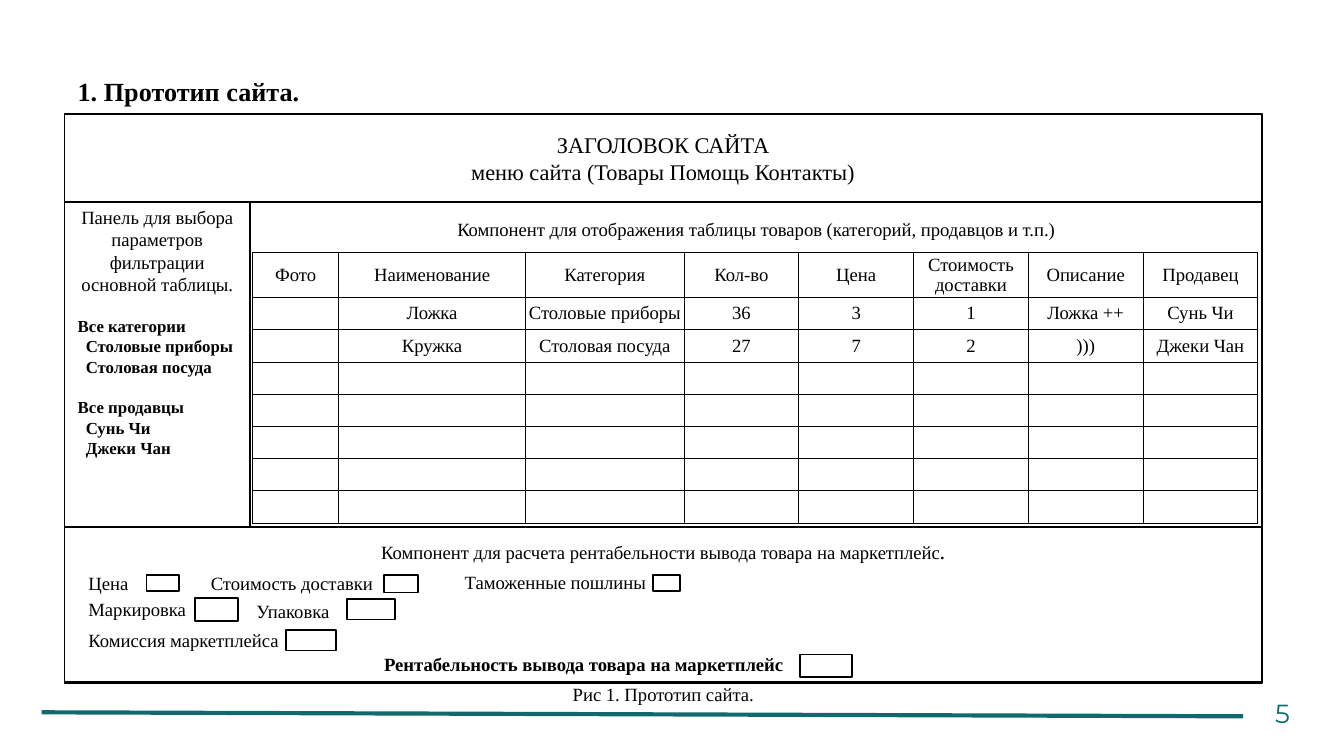
from dataclasses import dataclass

from lxml import etree
from pptx import Presentation
from pptx.dml.color import RGBColor
from pptx.enum.shapes import MSO_CONNECTOR, MSO_SHAPE
from pptx.enum.text import MSO_ANCHOR, PP_ALIGN
from pptx.oxml.ns import qn
from pptx.util import Inches, Pt

LEFT, CENTER = PP_ALIGN.LEFT, PP_ALIGN.CENTER
TOP, MIDDLE = MSO_ANCHOR.TOP, MSO_ANCHOR.MIDDLE
RECTANGLE, STRAIGHT = MSO_SHAPE.RECTANGLE, MSO_CONNECTOR.STRAIGHT
BLACK, WHITE, TEAL = "000000", "FFFFFF", "11696D"
SERIF, SANS = "Times New Roman", "Montserrat"
SLIDE_WIDTH = 10
SLIDE_HEIGHT = SLIDE_WIDTH * 9 / 16
FRAME_LEFT, FRAME_WIDTH = 0.48, 8.91
TABLE_WIDTH = 7.48
WIDE_COLUMNS = [0.64, 1.39, 1.18]
COLUMN_WIDTHS = WIDE_COLUMNS + [(TABLE_WIDTH - sum(WIDE_COLUMNS)) / 5] * 5
ROW_COUNT, ROW_HEIGHT = 8, 0.24
GOODS = [
    ["Фото", "Наименование", "Категория", "Кол-во", "Цена",
     "Стоимость доставки", "Описание", "Продавец"],
    ["", "Ложка", "Столовые приборы", "36", "3", "1", "Ложка ++", "Сунь Чи"],
    ["", "Кружка", "Столовая посуда", "27", "7", "2", ")))", "Джеки Чан"],
]
FILTERS = [
    ("Все категории", ["Столовые приборы", "Столовая посуда"]),
    ("Все продавцы", ["Сунь Чи", "Джеки Чан"]),
]


@dataclass
class Box:
    """Position and size in inches."""
    left: float
    top: float
    width: float
    height: float

    def lengths(self):
        """Return the four values as slide lengths."""
        return [Inches(value) for value in (self.left, self.top, self.width, self.height)]


@dataclass
class Field:
    """A label with its input box."""
    label: str
    label_box: Box
    input_box: Box
    bold: bool = False


FIELDS = [
    Field("Цена", Box(0.56, 4.27, 0.78, 0.13), Box(1.09, 4.28, 0.24, 0.12)),
    Field("Стоимость доставки", Box(1.47, 4.27, 2.04, 0.14), Box(2.86, 4.28, 0.25, 0.13)),
    Field("Таможенные пошлины", Box(3.36, 4.25, 2.27, 0.16), Box(4.86, 4.28, 0.2, 0.12)),
    Field("Маркировка", Box(0.56, 4.44, 1.29, 0.18), Box(1.45, 4.45, 0.32, 0.17)),
    Field("Упаковка", Box(1.81, 4.45, 1.13, 0.19), Box(2.58, 4.46, 0.36, 0.15)),
    Field("Комиссия маркетплейса", Box(0.56, 4.68, 2.3, 0.16), Box(2.13, 4.69, 0.37, 0.15)),
    Field("Рентабельность вывода товара на маркетплейс",
          Box(2.76, 4.85, 3.81, 0.18), Box(5.95, 4.87, 0.39, 0.17), bold=True),
]


def color(value: str) -> RGBColor:
    """Turn a hex string into a colour."""
    return RGBColor.from_string(value)


def add_run(paragraph, text: str, size: float, bold=False, font=SERIF, fill=BLACK) -> None:
    """Append formatted text to a paragraph."""
    run = paragraph.add_run()
    run.text = text
    run.font.size, run.font.bold, run.font.name = Pt(size), bold, font
    run.font.color.rgb = color(fill)


def write(frame, text: str, *, size=10, align=LEFT, before=0, indent=0, **style):
    """Write one paragraph, using the empty first one when it is free."""
    paragraph = frame.paragraphs[0]
    if paragraph.runs:
        paragraph = frame.add_paragraph()
    paragraph.alignment = align
    if before:
        paragraph.space_before = Pt(before)
    if indent:
        paragraph._p.get_or_add_pPr().set("marL", str(Inches(indent)))
    add_run(paragraph, text, size, **style)
    return paragraph


def add_rectangle(shapes, box: Box, line=BLACK, weight=1.0, anchor=MIDDLE, inset=0.05):
    """Draw an unfilled rectangle and return its text frame."""
    shape = shapes.add_shape(RECTANGLE, *box.lengths())
    shape.shadow.inherit = False
    shape.fill.background()
    shape.line.color.rgb = color(line)
    shape.line.width = Pt(weight)
    frame = shape.text_frame
    frame.word_wrap = True
    frame.vertical_anchor = anchor
    frame.margin_top = Inches(inset)
    return frame


def add_label(slide, box: Box, text: str, **style) -> None:
    """Add a plain text box."""
    frame = slide.shapes.add_textbox(*box.lengths()).text_frame
    frame.word_wrap = True
    frame.margin_left = frame.margin_right = Inches(0.1)
    frame.margin_top = frame.margin_bottom = Inches(0.1)
    write(frame, text, **style)


def add_rule(slide) -> None:
    """Draw the teal line at the foot of the slide."""
    rule = slide.shapes.add_connector(
        STRAIGHT, Inches(0.31), Inches(5.3), Inches(9.25), Inches(5.33))
    rule.line.color.rgb = color(TEAL)
    rule.line.width = Pt(2.25)
    etree.SubElement(rule._element.spPr, qn("a:effectLst"))


def format_cell(cell, text: str) -> None:
    """Give a cell its borders, margins and text."""
    cell.margin_left = cell.margin_right = cell.margin_top = cell.margin_bottom = 0
    cell.vertical_anchor = MIDDLE
    properties = cell._tc.get_or_add_tcPr()
    for side in ("lnL", "lnR", "lnT", "lnB"):
        border = etree.SubElement(properties, qn(f"a:{side}"), w=str(Pt(0.5)))
        fill = etree.SubElement(border, qn("a:solidFill"))
        etree.SubElement(fill, qn("a:srgbClr"), val=BLACK)
    cell.fill.background()
    if text:
        write(cell.text_frame, text, align=CENTER)
    else:
        etree.SubElement(cell.text_frame.paragraphs[0]._p, qn("a:endParaRPr"), sz="1000")


def add_goods_table(slide) -> None:
    """Draw the table of goods with its empty rows."""
    box = Box(1.88, 1.88, TABLE_WIDTH, ROW_COUNT * ROW_HEIGHT)
    table = slide.shapes.add_table(ROW_COUNT, len(COLUMN_WIDTHS), *box.lengths()).table
    table.first_row = table.horz_banding = False
    for column, width in zip(table.columns, COLUMN_WIDTHS):
        column.width = Inches(width)
    empty_rows = [[""] * len(COLUMN_WIDTHS)] * (ROW_COUNT - len(GOODS))
    for row, texts in zip(table.rows, GOODS + empty_rows):
        row.height = Inches(ROW_HEIGHT)
        for cell, text in zip(row.cells, texts):
            format_cell(cell, text)


def add_filter_panel(slide) -> None:
    """Draw the filter panel at the left."""
    frame = add_rectangle(slide.shapes, Box(FRAME_LEFT, 1.5, 1.38, 2.42), anchor=TOP, inset=0.03)
    write(frame, "Панель для выбора", align=CENTER)
    write(frame, "параметров фильтрации основной таблицы.", align=CENTER)
    for heading, options in FILTERS:
        write(frame, heading, size=9, bold=True, before=11)
        for option in options:
            write(frame, option, size=9, bold=True, indent=0.06)


def add_field(slide, field: Field) -> None:
    """Draw a label and its input box as one group."""
    shapes = slide.shapes.add_group_shape().shapes
    frame = add_rectangle(shapes, field.label_box, line=WHITE)
    write(frame, field.label, bold=field.bold)
    add_rectangle(shapes, field.input_box)


def main() -> None:
    """Build and save the slide."""
    presentation = Presentation()
    presentation.slide_width = Inches(SLIDE_WIDTH)
    presentation.slide_height = Inches(SLIDE_HEIGHT)
    slide = presentation.slides.add_slide(presentation.slide_layouts[6])
    add_rule(slide)
    add_label(slide, Box(FRAME_LEFT, 0.46, 9.26, 0.44), "1. Прототип сайта.", size=14, bold=True)
    add_rectangle(slide.shapes, Box(FRAME_LEFT, 0.85, FRAME_WIDTH, 4.23))
    header = add_rectangle(slide.shapes, Box(FRAME_LEFT, 0.85, FRAME_WIDTH, 0.65))
    for text in ("ЗАГОЛОВОК САЙТА", "меню сайта (Товары Помощь Контакты)"):
        write(header, text, size=12, align=CENTER)
    add_filter_panel(slide)
    goods = add_rectangle(slide.shapes, Box(1.86, 1.5, 7.53, 2.42), anchor=TOP, inset=0.12)
    write(goods, "Компонент для отображения таблицы товаров (категорий, продавцов и т.п.)",
          align=CENTER)
    add_goods_table(slide)
    profit = add_rectangle(slide.shapes, Box(FRAME_LEFT, 3.92, FRAME_WIDTH, 1.15),
                           weight=0.25, anchor=TOP, inset=0.08)
    title = write(profit, "Компонент для расчета рентабельности вывода товара на маркетплейс",
                  align=CENTER)
    add_run(title, ".", 12)
    for field in FIELDS:
        add_field(slide, field)
    add_label(slide, Box(9.39, 5.09, 0.6, 0.44), "5", size=14, font=SANS, fill=TEAL)
    add_label(slide, Box(FRAME_LEFT, 5, FRAME_WIDTH, 0.37), "Рис 1. Прототип сайта.", align=CENTER)
    presentation.save("out.pptx")


if __name__ == "__main__":
    main()
